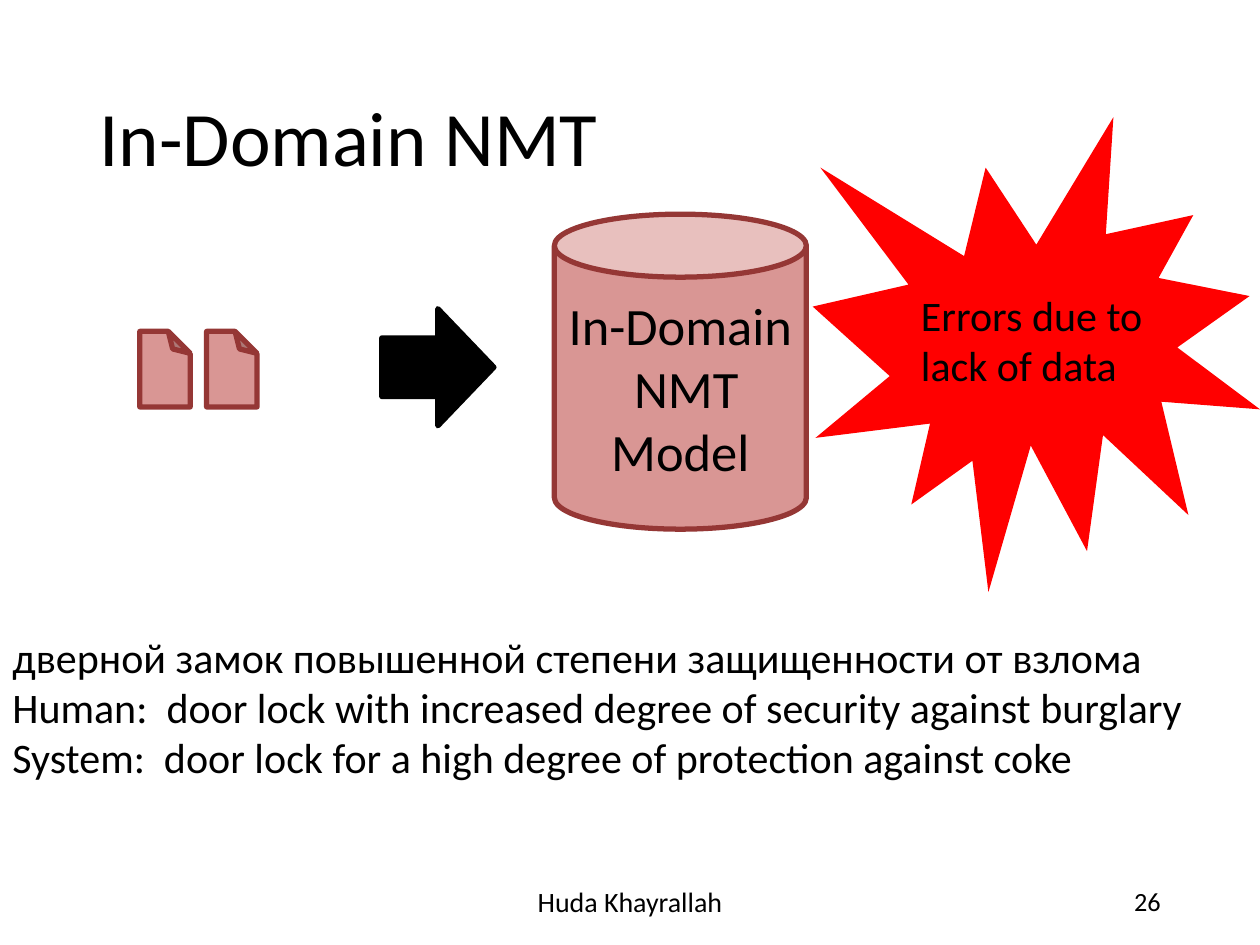
from dataclasses import dataclass, field
from typing import Optional

from lxml.etree import SubElement
from pptx import Presentation
from pptx.dml.color import RGBColor
from pptx.enum.shapes import MSO_SHAPE as Preset
from pptx.enum.text import MSO_ANCHOR as Anchor, PP_ALIGN as Align
from pptx.oxml.ns import qn
from pptx.util import Inches, Pt

COLUMNS, ROWS = 100, 75
WIDTH, HEIGHT = Inches(10), Inches(7.5)


@dataclass(frozen=True)
class Theme:
    font: str = "Calibri"
    ink: str = "000000"
    rose: str = "D99694"
    maroon: str = "953735"
    alert: str = "FF0000"
    title: int = 44
    model: int = 30
    body: int = 24
    footer: int = 16
    number: int = 15
    outline: int = 3


THEME = Theme()


@dataclass(frozen=True)
class Area:
    column: float
    row: float
    columns: float
    rows: float

    def lengths(self) -> tuple:
        return (
            int(WIDTH * self.column / COLUMNS),
            int(HEIGHT * self.row / ROWS),
            int(WIDTH * self.columns / COLUMNS),
            int(HEIGHT * self.rows / ROWS),
        )


@dataclass(frozen=True)
class Words:
    paragraphs: tuple
    size: int
    align: Align = Align.LEFT
    anchor: Anchor = Anchor.MIDDLE
    spacing: float = 1.0


@dataclass(frozen=True)
class Figure:
    preset: Preset
    area: Area
    fill: str
    line: Optional[str] = None
    words: Optional[Words] = None
    format: dict = field(default_factory=dict)
    fold: Optional[float] = None


def write(box, words: Words) -> None:
    frame = box.text_frame
    for name, value in {"word_wrap": True, "vertical_anchor": words.anchor}.items():
        setattr(frame, name, value)
    for index, text in enumerate(words.paragraphs):
        para = frame.add_paragraph() if index else frame.paragraphs[0]
        para.text = text
        for name, value in {"alignment": words.align, "line_spacing": words.spacing}.items():
            setattr(para, name, value)
        for span in para.runs:
            for name, value in {"name": THEME.font, "size": Pt(words.size)}.items():
                setattr(span.font, name, value)
            span.font.color.rgb = RGBColor.from_string(THEME.ink)


def draw_text(page, area: Area, words: Words) -> None:
    write(page.shapes.add_textbox(*area.lengths()), words)


def fold_corner(shape, share: float) -> None:
    properties = shape.element.spPr
    properties.find(qn("a:xfrm")).set("flipH", "1")
    geometry = properties.find(qn("a:prstGeom"))
    guides = geometry.find(qn("a:avLst"))
    if guides is None:
        guides = SubElement(geometry, qn("a:avLst"))
    SubElement(guides, qn("a:gd"), name="adj", fmla=f"val {round(share * 100000)}")


def draw_figure(page, figure: Figure) -> None:
    shape = page.shapes.add_shape(figure.preset, *figure.area.lengths())
    shape.shadow.inherit = False
    shape.fill.solid()
    shape.fill.fore_color.rgb = RGBColor.from_string(figure.fill)
    if figure.line:
        shape.line.color.rgb = RGBColor.from_string(figure.line)
        shape.line.width = Pt(THEME.outline)
    else:
        shape.line.fill.background()
    for name, value in figure.format.items():
        setattr(shape, name, value)
    if figure.fold is not None:
        fold_corner(shape, figure.fold)
    if figure.words:
        write(shape, figure.words)


def document(index: int) -> Figure:
    area = Area(11.1 + 5.3 * index, 26.3, 4, 6)
    return Figure(Preset.FOLDED_CORNER, area, THEME.rose, THEME.maroon,
                  format={"rotation": 180}, fold=0.435)


FIGURES = (
    Figure(Preset.CAN, Area(44, 17, 20, 25), THEME.rose, THEME.maroon,
           Words(("In-Domain", " NMT Model"), THEME.model, Align.CENTER)),
    document(1),
    document(0),
    Figure(Preset.EXPLOSION1, Area(64.5, 9.3, 35.5, 37.7), THEME.alert,
           words=Words(("Errors due to lack of data",), THEME.body)),
    Figure(Preset.RIGHT_ARROW, Area(30.3, 24.5, 8.9, 9.3), THEME.ink, THEME.ink),
)

EXAMPLE = (
    "дверной замок повышенной степени защищенности от взлома\n"
    "Human:  door lock with increased degree of security against burglary",
    "System:  door lock for a high degree of protection against coke",
)

TEXTS = (
    (Area(0, 49.6, 99.9, 13.2), Words(EXAMPLE, THEME.body, anchor=Anchor.TOP)),
    (Area(33.1, 69.5, 33.8, 4), Words(("Huda Khayrallah",), THEME.footer, Align.CENTER)),
    (Area(70.6, 69.5, 22.5, 4), Words(("26",), THEME.number, Align.RIGHT)),
)


def main() -> None:
    deck = Presentation()
    deck.slide_width, deck.slide_height = WIDTH, HEIGHT
    page = deck.slides.add_slide(deck.slide_layouts[6])
    draw_text(page, Area(6.9, 4, 86.2, 14.5),
              Words(("In-Domain NMT",), THEME.title, spacing=0.9))
    for figure in FIGURES:
        draw_figure(page, figure)
    for area, words in TEXTS:
        draw_text(page, area, words)
    deck.save("out.pptx")


if __name__ == "__main__":
    main()
